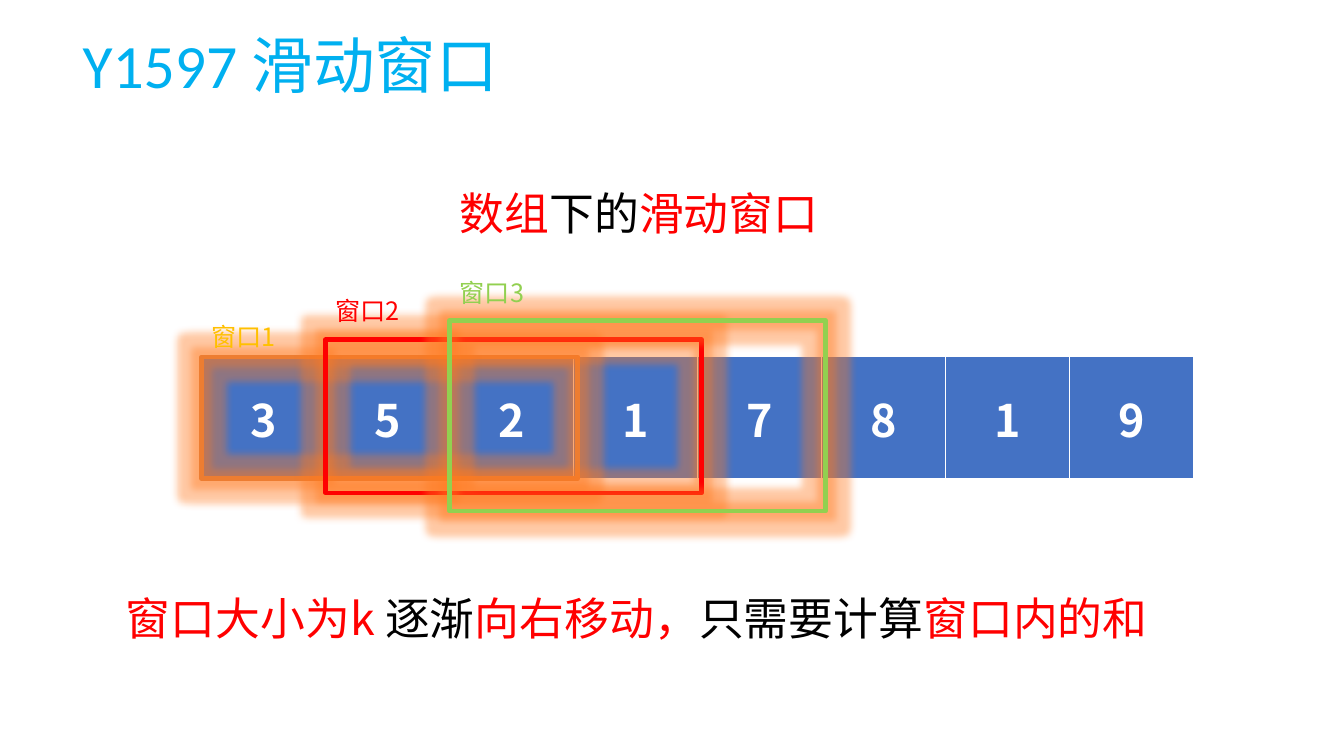
from lxml.etree import SubElement
from pptx import Presentation
from pptx.dml.color import RGBColor
from pptx.enum.shapes import MSO_SHAPE
from pptx.enum.text import MSO_ANCHOR, MSO_AUTO_SIZE, PP_ALIGN
from pptx.oxml import parse_xml
from pptx.oxml.ns import nsdecls, qn
from pptx.util import Inches, Pt

CJK = "Noto Sans CJK SC"
RED, BLACK, WHITE = "FF0000", "000000", "FFFFFF"
ARRAY = [3, 5, 2, 1, 7, 8, 1, 9]
ARRAY_LEFT, ARRAY_TOP, CELL_WIDTH, CELL_HEIGHT = 2, 3.54, 1.23, 1.22
WINDOW_WIDTH = 3.73
WINDOWS = [
    ("ED7D31", 3.54, 1.21, "FFC000", 3.14),
    (RED, 3.37, 1.52, RED, 2.88),
    ("92D050", 3.18, 1.89, "92D050", 2.7),
]


def color(hex_code):
    return RGBColor.from_string(hex_code)


def write_runs(paragraph, runs, size=32, font=CJK, bold=False):
    for text, hex_code in runs:
        run = paragraph.add_run()
        run.text = text
        run.font.size = Pt(size)
        run.font.name = font
        run.font.bold = bold
        run.font.color.rgb = color(hex_code)
        SubElement(run.font._element, qn("a:ea")).set("typeface", CJK)


def add_text(slide, box, runs, anchor=MSO_ANCHOR.TOP, spacing=None,
             grow=True, **style):
    frame = slide.shapes.add_textbox(*map(Inches, box)).text_frame
    frame.word_wrap = True
    frame.vertical_anchor = anchor
    if grow:
        frame.auto_size = MSO_AUTO_SIZE.SHAPE_TO_FIT_TEXT
    paragraph = frame.paragraphs[0]
    paragraph.line_spacing = spacing
    write_runs(paragraph, runs, **style)


def set_borders(cell):
    properties = cell._tc.get_or_add_tcPr()
    for index, (side, width) in enumerate(zip("LRTB", (1, 1, 1, 3))):
        properties.insert(index, parse_xml(
            f'<a:ln{side} {nsdecls("a")} w="{Pt(width)}"><a:solidFill>'
            f'<a:srgbClr val="{WHITE}"/></a:solidFill></a:ln{side}>'))


def add_array(slide):
    box = (ARRAY_LEFT, ARRAY_TOP, CELL_WIDTH * len(ARRAY), CELL_HEIGHT)
    array = slide.shapes.add_table(1, len(ARRAY), *map(Inches, box)).table
    for column, number in enumerate(ARRAY):
        array.columns[column].width = Inches(CELL_WIDTH)
        cell = array.cell(0, column)
        cell.fill.solid()
        cell.fill.fore_color.rgb = color("4472C4")
        cell.vertical_anchor = MSO_ANCHOR.MIDDLE
        set_borders(cell)
        paragraph = cell.text_frame.paragraphs[0]
        paragraph.alignment = PP_ALIGN.CENTER
        write_runs(paragraph, [(str(number), WHITE)], bold=True)


def add_window(slide, left, top, height, outline):
    box = (left, top, WINDOW_WIDTH, height)
    window = slide.shapes.add_shape(MSO_SHAPE.RECTANGLE, *map(Inches, box))
    window.fill.background()
    window.line.color.rgb = color(outline)
    window.line.width = Pt(3.25)
    window._element.spPr.append(parse_xml(
        f'<a:effectLst {nsdecls("a")}><a:glow rad="{Pt(11)}">'
        '<a:srgbClr val="ED7D31"><a:satMod val="175000"/>'
        '<a:alpha val="40000"/></a:srgbClr></a:glow></a:effectLst>'))


def main():
    deck = Presentation()
    deck.slide_width, deck.slide_height = Inches(13.33), Inches(7.5)
    slide = deck.slides.add_slide(deck.slide_layouts[6])

    add_text(slide, (0.72, 0, 11.51, 1.35), [("Y1597 滑动窗口", "00B0F0")],
             anchor=MSO_ANCHOR.MIDDLE, spacing=0.9, grow=False,
             size=44, font="Calibri")
    add_text(slide, (4.46, 1.79, 4.44, 0.64),
             [("数组", RED), ("下的", BLACK), ("滑动窗口", RED)])
    add_array(slide)
    lefts = [ARRAY_LEFT + CELL_WIDTH * step for step in range(len(WINDOWS))]
    for left, (outline, top, height, _, _) in zip(lefts, WINDOWS):
        add_window(slide, left, top, height, outline)
    add_text(slide, (1.15, 5.81, 11.07, 0.64),
             [("窗口大小为k ", RED), ("逐渐", BLACK), ("向右移动，", RED),
              ("只需要计算", BLACK), ("窗口内的和", RED)])
    for number, (left, window) in enumerate(zip(lefts, WINDOWS), 1):
        label_color, label_top = window[3:]
        add_text(slide, (left, label_top, 1.02, 0.4),
                 [(f"窗口{number}", label_color)], size=18)

    deck.save("out.pptx")


main()
